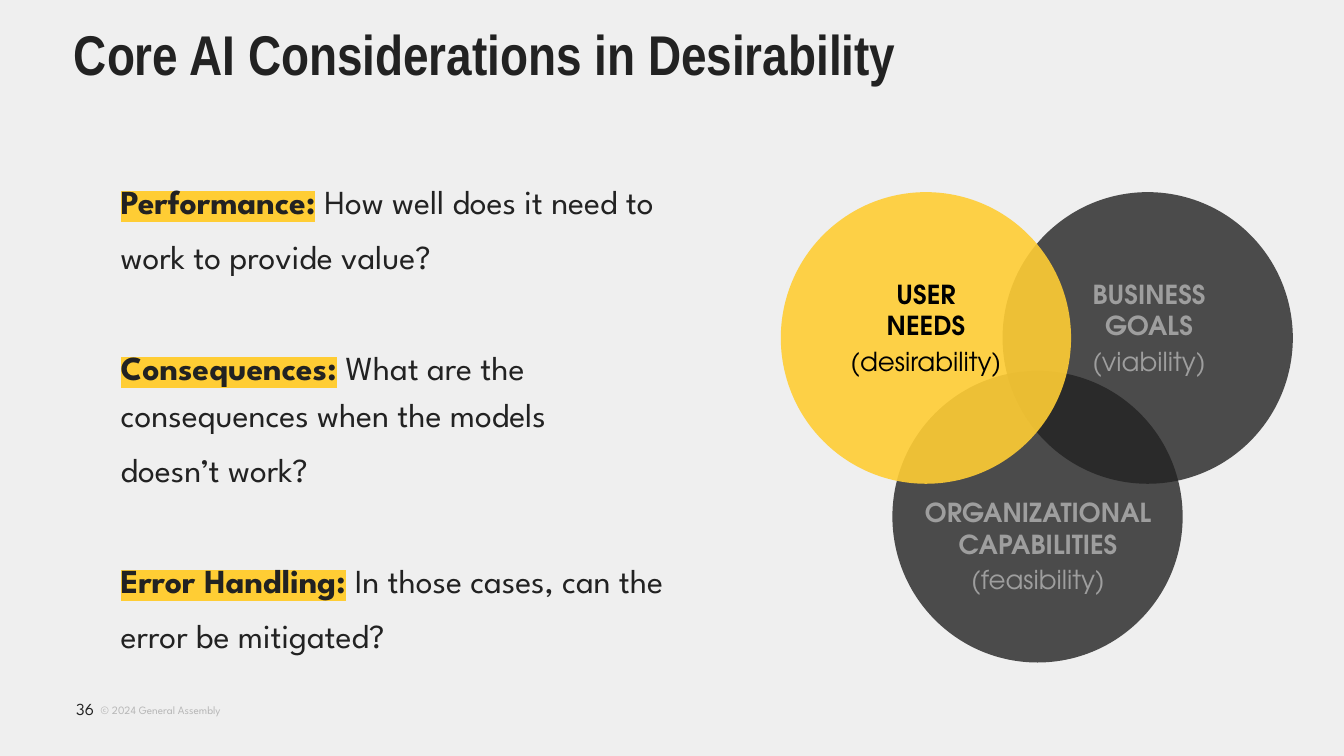
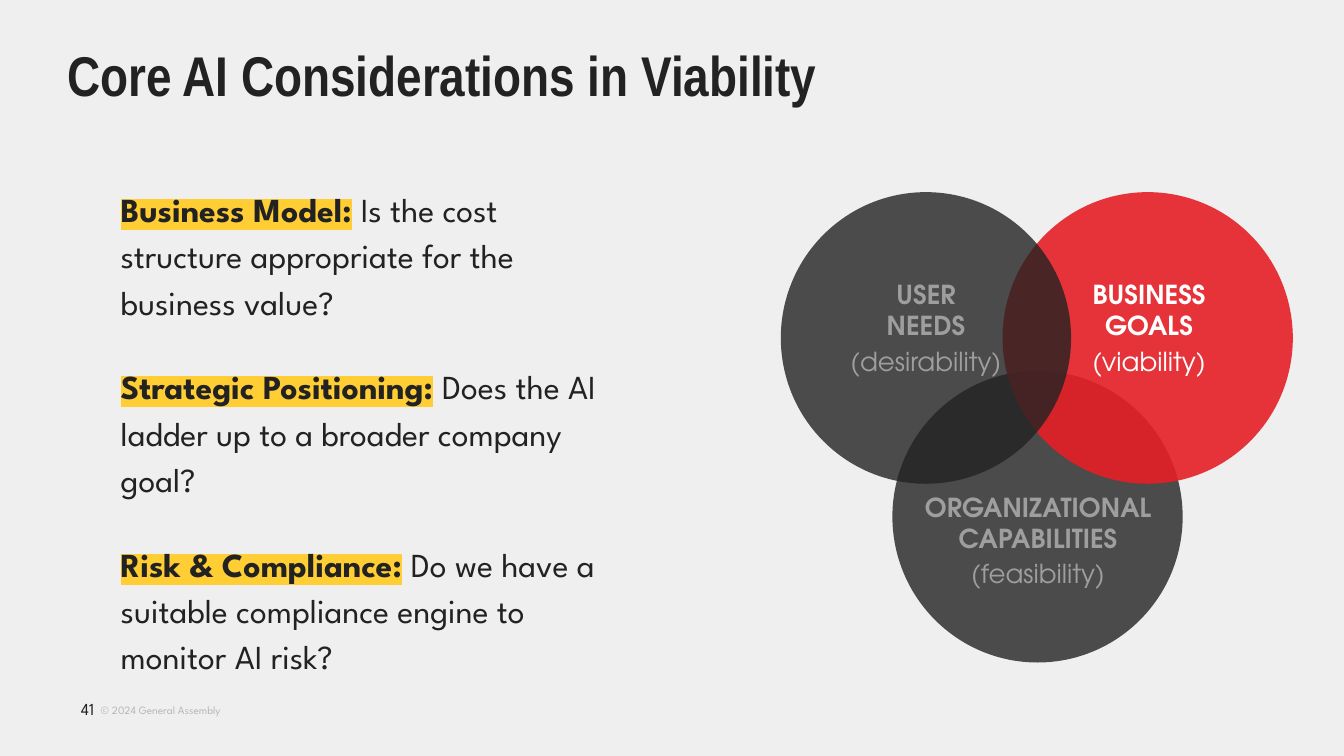
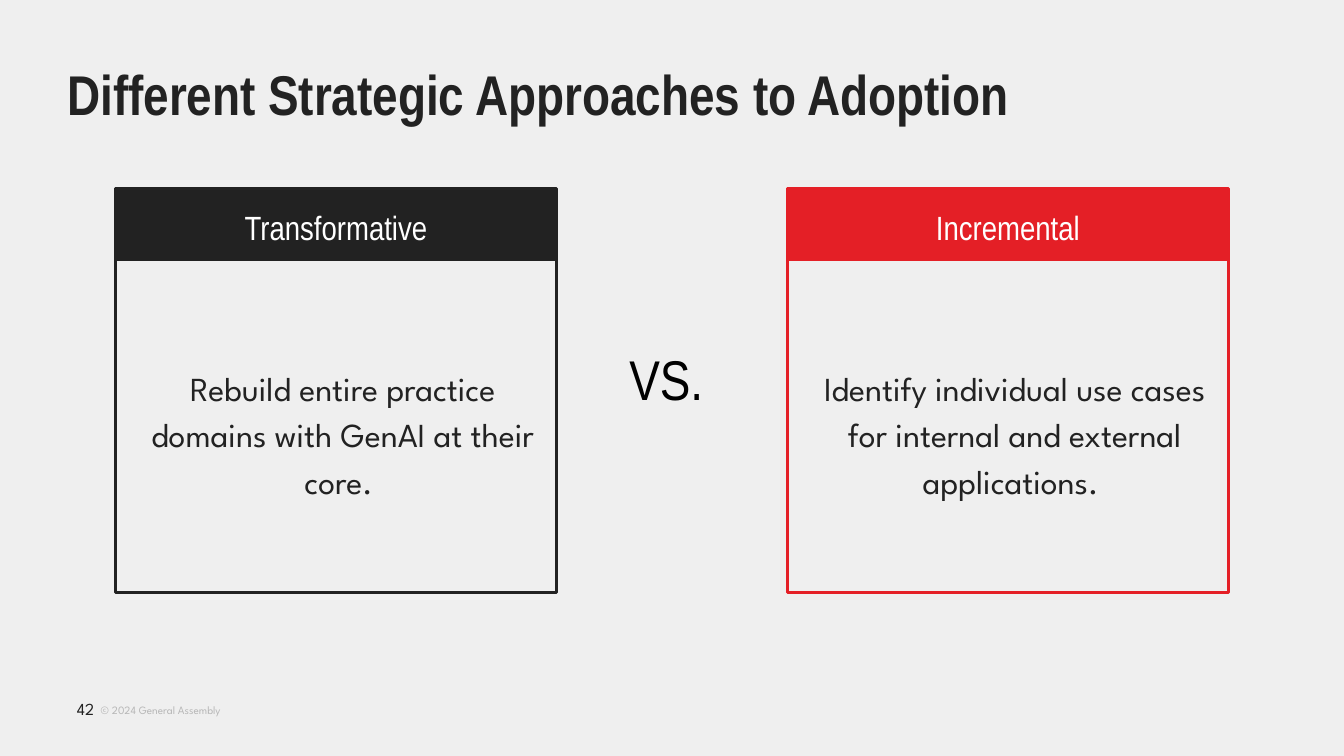
from pptx import Presentation, util as u
from pptx.dml.color import RGBColor
from pptx.enum import shapes as sh, text as tx
from pptx.oxml.ns import qn
from lxml import etree

HUES = {"page": "EFEFEF", "ink": "222222", "gold": "FFCD34", "red": "E41F26",
        "black": "000000", "white": "FFFFFF", "mute": "9E9E9E", "pale": "B7B7B7"}
HEAD, BODY, RING = "Arial Narrow", "League Spartan", "TeX Gyre Adventor"
LEFT, MID, RIGHT = tx.PP_ALIGN.LEFT, tx.PP_ALIGN.CENTER, tx.PP_ALIGN.RIGHT
TOP, CORE = tx.MSO_ANCHOR.TOP, tx.MSO_ANCHOR.MIDDLE


# Shared helpers
def hue(name):
    return RGBColor.from_string(HUES[name])


def place(*box):
    return [u.Inches(n) for n in box]


def style(par, size, face, ink, bold=False, align=LEFT):
    """Format every run of a paragraph."""
    par.alignment = align
    for run in par.runs:
        run.font.size, run.font.name, run.font.bold = u.Pt(size), face, bold
        run.font.color.rgb = hue(ink)


def setup(frame, pad=(0, 0, 0, 0), anchor=CORE):
    """Set wrap, insets (left, top, right, bottom) and anchor."""
    frame.word_wrap = True
    frame.vertical_anchor = anchor
    (frame.margin_left, frame.margin_top,
     frame.margin_right, frame.margin_bottom) = place(*pad)
    return frame


def label(host, box, words, *look, pad=(0, 0, 0, 0), **more):
    frame = setup(host.add_textbox(*place(*box)).text_frame, pad)
    frame.text = words
    style(frame.paragraphs[0], *look, **more)
    return frame


def form(host, kind, box, fill=None, line=None, alpha=None):
    part = host.add_shape(kind, *place(*box))
    part.shadow.inherit = False
    if fill:
        part.fill.solid()
        part.fill.fore_color.rgb = hue(fill)
    else:
        part.fill.background()
    if alpha:
        tint = next(part._element.spPr.iter(qn("a:srgbClr")))
        etree.SubElement(tint, qn("a:alpha"), val=str(alpha * 1000))
    if line:
        part.line.color.rgb = hue(line)
        part.line.width = u.Pt(1.5)
    else:
        part.line.fill.background()
    return part


def mark(run, name):
    """Highlight a run; the schema wants it ahead of the font."""
    glow = etree.Element(qn("a:highlight"))
    etree.SubElement(glow, qn("a:srgbClr"), val=HUES[name])
    run._r.rPr.find(qn("a:latin")).addprevious(glow)


# Title, page number and copyright line
def base(deck, name, page, left, top):
    slide = deck.slides.add_slide(deck.slide_layouts[5])
    title = slide.shapes.title
    title.left, title.top, title.width, title.height = place(left, top, 9, 0.5)
    frame = setup(title.text_frame, anchor=TOP)
    frame.auto_size = tx.MSO_AUTO_SIZE.NONE
    frame.text = name
    frame.paragraphs[0].line_spacing = 0.9
    style(frame.paragraphs[0], 30, HEAD, "ink", bold=True)
    label(slide.shapes, (0.75, 5.18, 1, 0.2), "© 2024 General Assembly",
          6, BODY, "pale")
    label(slide.shapes, (0.35, 5.1, 0.35, 0.35), str(page),
          9, BODY, "ink", align=RIGHT)
    return slide


# One question with a highlighted lead
def ask(slide, box, lead, rest, tail):
    frame = setup(slide.shapes.add_textbox(*place(*box)).text_frame,
                  (0.1,) * 4, TOP)
    frame.auto_size = tx.MSO_AUTO_SIZE.SHAPE_TO_FIT_TEXT
    par = frame.paragraphs[0]
    par.line_spacing, par.space_after = 1.15, u.Pt(10)
    for words in (lead, " ", rest):
        par.add_run().text = words
    style(par, 18, BODY, "ink")
    for run in par.runs[:2]:
        run.font.bold = True
    mark(par.runs[0], "gold")
    if tail:
        # A larger closing space opens up the last line
        end = par.add_run()
        end.text = " "
        end.font.size, end.font.name = u.Pt(tail), BODY
        end.font.color.rgb = hue("ink")


# Three overlapping circles, one of them lit
def venn(slide, left, top, lit, fill, ink, drop):
    group = slide.shapes.add_group_shape().shapes
    # name: circle offset, label box, heading, note
    rings = {
        "org": ((0.83, 1.33), (0.95, drop - 0.26, 1.93, 0.52),
                "ORGANIZATIONAL CAPABILITIES", "(feasibility)"),
        "goal": ((1.65, 0), (2.01, 0.81, 1.46, 0.39),
                 "BUSINESS GOALS", "(viability)"),
        "user": ((0, 0), (0.09, 0.81, 1.98, 0.39),
                 "USER\vNEEDS", "(desirability)"),
    }
    for name, ((x, y), *_) in rings.items():
        tone, alpha = (fill, 90) if name == lit else ("ink", 80)
        form(group, sh.MSO_SHAPE.OVAL, (left + x, top + y, 2.16, 2.17),
             tone, alpha=alpha)
    for name in ("goal", "user", "org"):
        _, (x, y, wide, high), head, note = rings[name]
        tone = ink if name == lit else "mute"
        frame = label(group, (left + x, top + y, wide, high), head,
                      14, RING, tone, pad=(0.04,) * 4, bold=True, align=MID)
        par = frame.add_paragraph()
        par.text = note
        par.space_before = par.space_after = u.Pt(2)
        style(par, 14, RING, tone, align=MID)


# Header band over an outlined body
def card(slide, left, top, tone, head, body):
    parts = (
        ((left, top, 3.28, 0.53), tone, head, HEAD, "white", (0.1,) * 4, 0),
        ((left, top + 0.51, 3.28, 2.5), None, body, BODY, "ink",
         (0.2, 0.2, 0.1, 0.1), 10),
    )
    for box, fill, words, face, ink, pad, after in parts:
        part = form(slide.shapes, sh.MSO_SHAPE.RECTANGLE, box, fill, tone)
        frame = setup(part.text_frame, pad)
        frame.text = words
        par = frame.paragraphs[0]
        par.line_spacing, par.space_after = 1.15, u.Pt(after)
        style(par, 18, face, ink, align=MID)


# Slides
def desire(deck):
    slide = base(deck, "Core AI Considerations in Desirability", 36, 0.55, 0.2)
    for top, wide, high, lead, rest in (
        (1.2, 4.57, 0.92, "Performance:",
         "How well does it need to work to provide value?"),
        (2.44, 3.88, 1.27, "Consequences:",
         "What are the consequences when the models doesn’t work?"),
        (4.02, 4.31, 0.92, "Error Handling:",
         "In those cases, can the error be mitigated?"),
    ):
        ask(slide, (0.8, top, wide, high), lead, rest, 22)
    venn(slide, 5.81, 1.43, "user", "gold", "black", 2.63)


def viable(deck):
    slide = base(deck, "Core AI Considerations in Viability", 41, 0.5, 0.36)
    asks = (
        ("Business Model:",
         "Is the cost structure appropriate for the business value?"),
        ("Strategic Positioning:",
         "Does the AI ladder up to a broader company goal?"),
        ("Risk & Compliance:",
         "Do we have a suitable compliance engine to monitor AI risk?"),
    )
    for i, (lead, rest) in enumerate(asks):
        ask(slide, (0.8, 1.26 + 1.32 * i, 3.86, 1.2), lead, rest, None)
    venn(slide, 5.81, 1.43, "goal", "red", "white", 2.59)


def adopt(deck):
    slide = base(deck, "Different Strategic Approaches to Adoption",
                 42, 0.5, 0.5)
    label(slide.shapes, (4.58, 2.6, 0.85, 0.43), "VS. ", 30, HEAD, "black",
          pad=(0.1,) * 4, align=MID)
    card(slide, 0.86, 1.4, "ink", "Transformative",
         "Rebuild entire practice domains with GenAI at their core. ")
    card(slide, 5.86, 1.4, "red", "Incremental",
         "Identify individual use cases for internal and external applications. ")


def main():
    deck = Presentation()
    # Widescreen, 16 to 9
    deck.slide_width, deck.slide_height = place(10, 10 * 9 / 16)
    back = deck.slide_master.background.fill
    back.solid()
    back.fore_color.rgb = hue("page")
    for build in (desire, viable, adopt):
        build(deck)
    deck.save("out.pptx")


if __name__ == "__main__":
    main()
